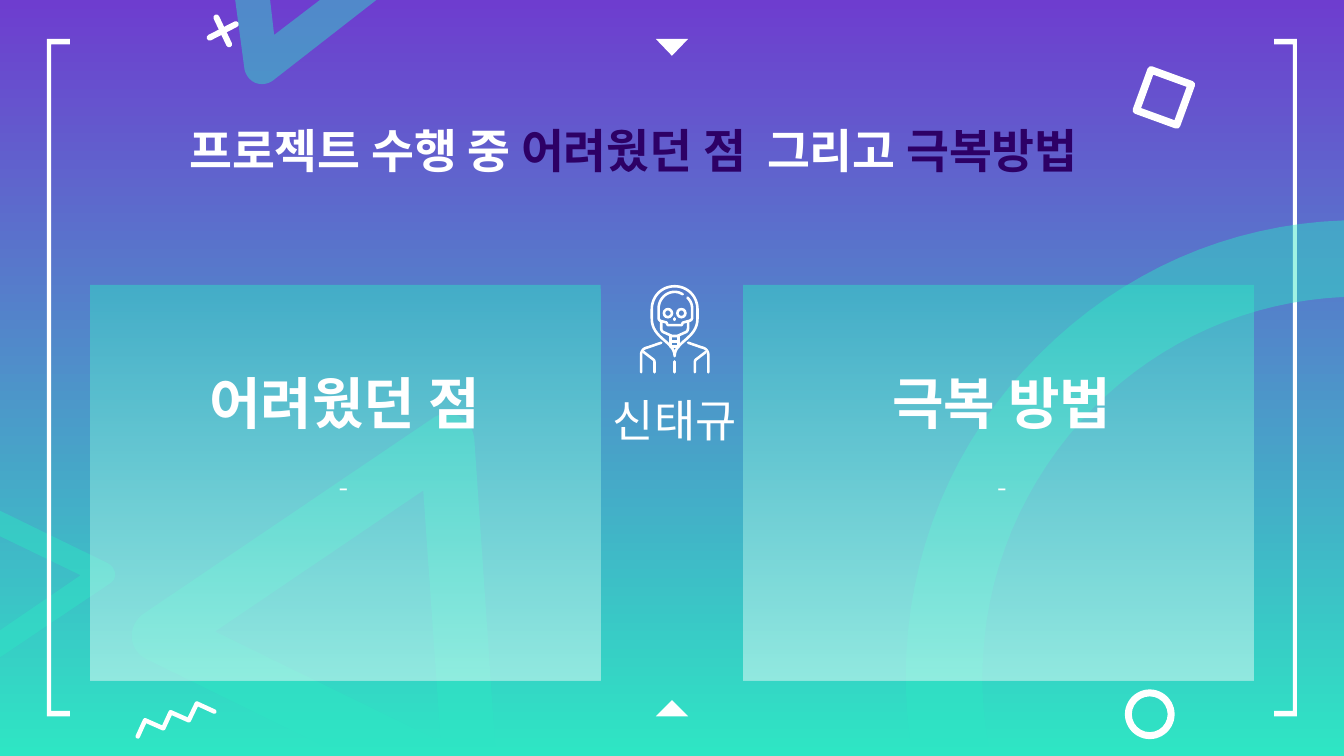
from dataclasses import dataclass

from lxml.etree import SubElement
from pptx import Presentation
from pptx.dml.color import RGBColor
from pptx.enum.shapes import MSO_CONNECTOR, MSO_SHAPE as Preset
from pptx.enum.text import MSO_ANCHOR as Anchor, PP_ALIGN as Align
from pptx.oxml.ns import qn
from pptx.util import Inches, Pt

# Square grid cells: the slide is 100 columns wide and 56.25 rows high.
COLUMNS, ROWS = 100, 56.25
CELL = Inches(10) // COLUMNS


@dataclass(frozen=True)
class Theme:
    white: str = "FFFFFF"
    purple: str = "6E3DCF"
    mint: str = "2EE6C4"
    ink: str = "2D0066"
    veil: int = 45
    heading_font: str = "Calibri"
    body_font: str = "Karla"
    title: int = 25
    label: int = 30
    name: int = 24
    body: int = 14
    icon_line: float = 1.4
    doodle_line: float = 2.4
    cross_line: float = 3.2
    frame_line: float = 4


THEME = Theme()


def cells(*values):
    return [round(value * CELL) for value in values]


def mirror(path, axis=COLUMNS / 2):
    """Reflect a path across a vertical axis."""
    return [tuple(2 * axis - v if i % 2 == 0 else v for i, v in enumerate(step))
            for step in path]


def flatten(path, steps=16):
    """Turn points and cubic curves (two controls and an end) into points."""
    points = []
    for step in path:
        if len(step) == 2:
            points.append(step)
            continue
        nodes = [points[-1], step[:2], step[2:4], step[4:]]
        for i in range(1, steps + 1):
            t = i / steps
            weights = ((1 - t) ** 3, 3 * t * (1 - t) ** 2, 3 * t * t * (1 - t), t ** 3)
            points.append(tuple(sum(w * node[axis] for w, node in zip(weights, nodes))
                                for axis in (0, 1)))
    return [tuple(cells(*point)) for point in points]


def freeform(page, paths, close):
    first, *others = [flatten(path) for path in paths]
    builder = page.shapes.build_freeform(*first[0], scale=1.0)
    builder.add_line_segments(first[1:], close=close)
    for points in others:
        builder.move_to(*points[0])
        builder.add_line_segments(points[1:], close=close)
    shape = builder.convert_to_shape()
    shape.shadow.inherit = False
    return shape


def set_alpha(shape, percent):
    for color in shape.element.spPr.iter(qn("a:srgbClr")):
        SubElement(color, qn("a:alpha")).set("val", str(percent * 1000))


def paint(shape, color, alpha=100):
    shape.fill.solid()
    shape.fill.fore_color.rgb = RGBColor.from_string(color)
    shape.line.fill.background()
    if alpha < 100:
        set_alpha(shape, alpha)


def paint_gradient(fill, *colors):
    """Blend two colours from top to bottom."""
    fill.gradient()
    fill.gradient_angle = 270
    for stop, color in zip(fill.gradient_stops, colors):
        stop.color.rgb = RGBColor.from_string(color)


def pen(shape, width):
    """Give a shape a white line with round ends and corners."""
    shape.line.color.rgb = RGBColor.from_string(THEME.white)
    shape.line.width = Pt(width)
    line = shape.line._get_or_add_ln()
    line.set("cap", "rnd")
    SubElement(line, qn("a:round"))


def add_outline(page, *paths, color=THEME.white, alpha=100):
    paint(freeform(page, paths, True), color, alpha)


def add_stroke(page, path, width):
    shape = freeform(page, [path], False)
    shape.fill.background()
    pen(shape, width)


def add_line(page, start, end, width):
    line = page.shapes.add_connector(MSO_CONNECTOR.STRAIGHT, *cells(*start, *end))
    SubElement(line._element.spPr, qn("a:effectLst"))
    pen(line, width)


def add_preset(page, kind, box, *adjustments):
    shape = page.shapes.add_shape(kind, *cells(*box))
    shape.shadow.inherit = False
    for i, value in enumerate(adjustments):
        shape.adjustments[i] = value
    return shape


def add_ring(page, box, thickness):
    paint(add_preset(page, Preset.DONUT, box, thickness), THEME.white)


def add_text(page, box, spans, size, font=THEME.heading_font, bold=False,
             align=Align.CENTER, anchor=Anchor.TOP, inset=1.0, after=0):
    """Write one paragraph of (text, colour) spans."""
    frame = page.shapes.add_textbox(*cells(*box)).text_frame
    frame.word_wrap = True
    frame.vertical_anchor = anchor
    frame.margin_left, frame.margin_right = cells(1, 1)
    frame.margin_top, frame.margin_bottom = cells(inset, inset)
    para = frame.paragraphs[0]
    para.alignment = align
    para.space_after = Pt(after)
    for text, color in spans:
        span = para.add_run()
        span.text = text
        span.font.size = Pt(size)
        span.font.name = font
        span.font.bold = bold
        span.font.color.rgb = RGBColor.from_string(color)


def add_frame(page):
    bracket = [(3.5, 2.9), (3.5, 53.3), (5.2, 53.3), (5.2, 52.9),
               (3.8, 52.9), (3.8, 3.3), (5.2, 3.3), (5.2, 2.9)]
    add_outline(page, [(48.8, 2.9), (50, 4.15), (51.2, 2.9)])
    add_outline(page, [(50, 52.1), (48.8, 53.3), (51.2, 53.3)])
    add_outline(page, bracket)
    add_outline(page, mirror(bracket))


def add_doodles(page):
    square = add_preset(page, Preset.RECTANGLE, (85, 5.65, 3.2, 3.2))
    square.rotation = 20
    square.fill.background()
    pen(square, THEME.frame_line)
    add_line(page, (16.1, 1.3), (17.05, 3.3), THEME.cross_line)
    add_line(page, (15.6, 2.8), (17.55, 1.8), THEME.cross_line)
    add_stroke(page, [(10.25, 54.8), (10.8, 53.6), (12.15, 54.2), (12.7, 53),
                      (14.05, 53.6), (14.65, 52.35), (15.95, 52.95)], THEME.doodle_line)
    add_ring(page, (83.7, 51.3, 3.7, 3.7), 0.14)


def add_veils(page):
    """Lay the large translucent arc and triangles over the background."""
    arc = [(COLUMNS, 16.4), (91.4, 16.7, 83.5, 20.2, 77.4, 26.3),
           (70.9, 32.7, 67.4, 41.3, 67.4, 50.4), (67.4, 52.4, 67.6, 54.3, 67.9, ROWS),
           (73.7, ROWS), (73.3, 54.3, 73.1, 52.4, 73.1, 50.4),
           (73.1, 42.8, 76.1, 35.7, 81.4, 30.3), (86.4, 25.3, 93, 22.4, COLUMNS, 22.1)]
    triangle = [(33.3, 30.8), (34.4, 30.8, 35.2, 31.6, 35.3, 32.7), (36.9, ROWS),
                (25.6, ROWS), (11, 49.1), (9.5, 48.4, 9.4, 46.5, 10.8, 45.6),
                (32.1, 31.2), (32.5, 30.9, 32.9, 30.8, 33.3, 30.8)]
    triangle_hole = [(31.5, 36.5), (16, 47), (32.8, 55.2)]
    top_corner = [(28, 0), (20.3, 6), (19.6, 6.5, 18.5, 6.3, 18.2, 5.2),
                  (17.5, 0), (20.1, 0), (20.4, 2.6), (23.8, 0)]
    for paths in ((arc,), (triangle, triangle_hole), (top_corner,)):
        add_outline(page, *paths, color=THEME.mint, alpha=THEME.veil)


def add_left_corner(page):
    add_outline(page, [(0, 48.9), (0, 46.9), (6, 42.8), (0, 39.9), (0, 38), (8, 41.9),
                       (8.6, 42.2, 8.8, 43, 8.2, 43.4)],
                color=THEME.mint, alpha=THEME.veil)


def add_skeleton(page):
    center = 50.2
    hood = [(center, 26.5), (50.2, 25.4, 51.9, 25.2, 51.9, 23.7), (51.9, 23),
            (51.9, 22.1, 51.2, 21.3, 50.2, 21.3), (49.2, 21.3, 48.5, 22.1, 48.5, 23),
            (48.5, 23.7), (48.5, 25.2, 50.2, 25.4, 50.2, 26.5)]
    skull = [(50.8, 21.9), (50, 21.4, 49, 22, 49, 23), (49, 23.6),
             (49, 23.75, 49.05, 23.85, 49.2, 23.9), (49.6, 24),
             (49.65, 24.2, 49.7, 24.2, 49.8, 24.2), (50.65, 24.2),
             (50.8, 24.2, 50.75, 24, 50.85, 24), (51.2, 23.9),
             (51.45, 23.85, 51.5, 23.75, 51.5, 23.6), (51.5, 23),
             (51.5, 22.65, 51.4, 22.4, 51.15, 22.15)]
    jaw = [(49.2, 23.9), (49.2, 24.4), (49.2, 24.6, 49.3, 24.7, 49.45, 24.75),
           (50, 25), (50.4, 25), (50.95, 24.75),
           (51.1, 24.7, 51.2, 24.6, 51.2, 24.4), (51.2, 23.9)]
    shoulder = [(49.2, 25.5), (48.2, 25.85), (47.9, 25.9, 47.7, 26.1, 47.7, 26.4),
                (47.7, 27.7)]
    sleeve = [(47.9, 26.2), (48.55, 26.7), (48.7, 26.8, 48.7, 26.9, 48.7, 27),
              (48.7, 27.7)]
    for left in (49.3, 50.3):
        add_ring(page, (left, 22.9, 0.8, 0.8), 0.25)
    for path in (hood, skull, jaw, shoulder, sleeve,
                 mirror(shoulder, center), mirror(sleeve, center)):
        add_stroke(page, path, THEME.icon_line)
    neck = [((x, 25), (x, 25.8)) for x in (49.9, 50.5)]
    rungs = [((49.9, y), (50.5, y)) for y in (25.4, 25.8)]
    middle = [((center, top), (center, end)) for top, end in ((23.7, 23.8), (26.9, 27.7))]
    for start, end in neck + rungs + middle:
        add_line(page, start, end, THEME.icon_line)


def add_panel(page, left):
    panel = add_preset(page, Preset.ROUNDED_RECTANGLE, (left, 21.2, 38, 29.4), 0)
    paint_gradient(panel.fill, THEME.mint, THEME.white)
    panel.line.fill.background()
    set_alpha(panel, THEME.veil)


def add_topic(page, label, label_left, body_left):
    add_text(page, (label_left, 23.9, 35.3, 8.5), [(label, THEME.white)], THEME.label,
             bold=True, anchor=Anchor.BOTTOM, inset=0, after=16)
    add_text(page, (body_left, 34.1, 27.9, 12), [("-", THEME.white)], THEME.body,
             font=THEME.body_font, after=16)


def main():
    deck = Presentation()
    deck.slide_width, deck.slide_height = cells(COLUMNS, ROWS)
    page = deck.slides.add_slide(deck.slide_layouts[6])
    paint_gradient(page.background.fill, THEME.purple, THEME.mint)
    add_left_corner(page)
    add_frame(page)
    add_doodles(page)
    add_veils(page)
    for left in (6.7, 55.3):
        add_panel(page, left)
    add_text(page, (13.1, 8.1, 73.8, 5.4),
             [("프로젝트 수행 중 ", THEME.white), ("어려웠던 점  ", THEME.ink),
              ("그리고 ", THEME.white), ("극복방법", THEME.ink)],
             THEME.title, bold=True, align=Align.LEFT)
    add_topic(page, "어려웠던 점", 8, 11.6)
    add_topic(page, "극복 방법", 56.9, 60.6)
    add_text(page, (31.7, 28.8, 37, 5.7), [("신태규", THEME.white)], THEME.name,
             inset=0.4, after=16)
    add_skeleton(page)
    deck.save("out.pptx")


if __name__ == "__main__":
    main()
